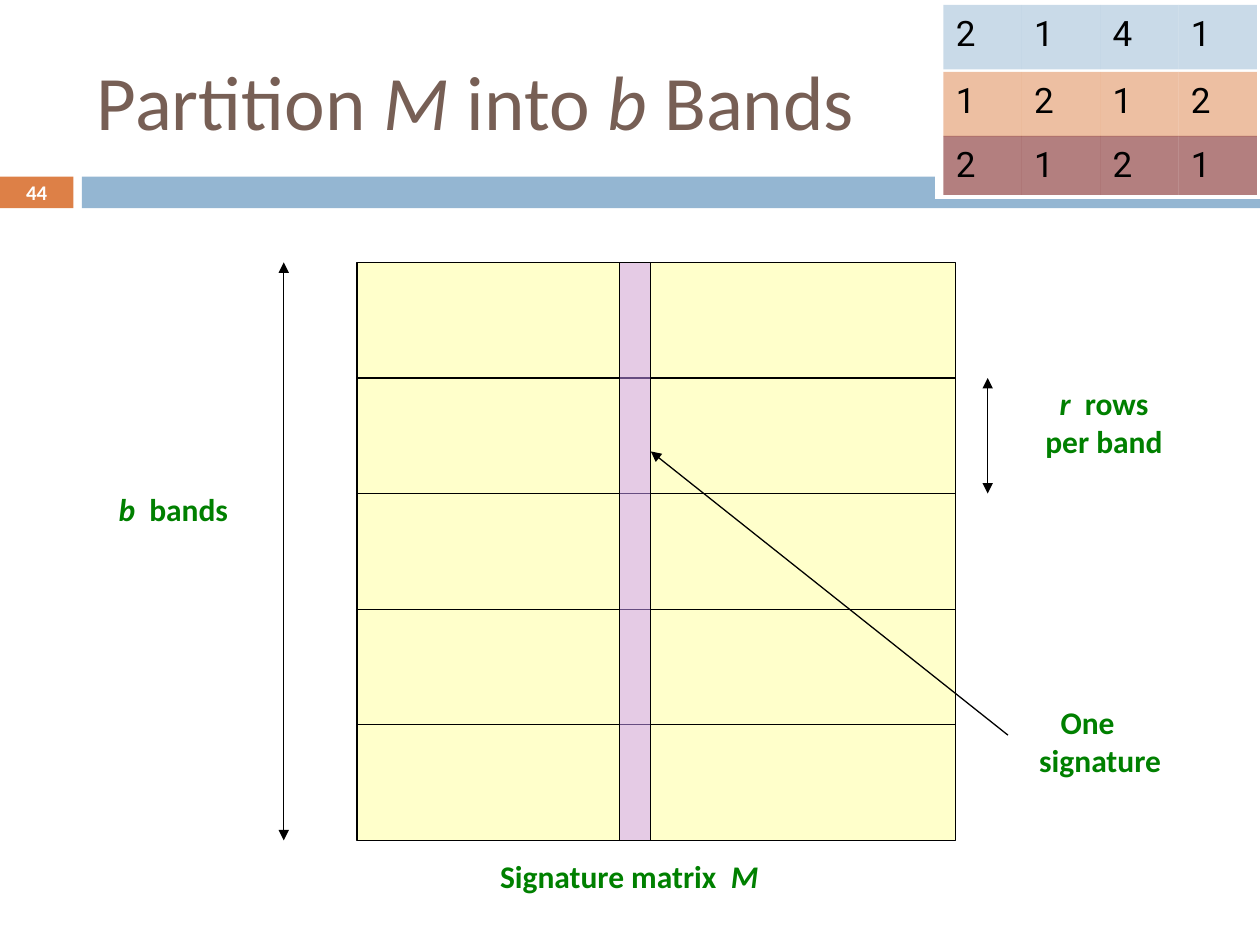
from dataclasses import dataclass

from pptx import Presentation
from pptx.dml.color import RGBColor
from pptx.enum.shapes import MSO_CONNECTOR, MSO_SHAPE
from pptx.enum.text import MSO_ANCHOR, PP_ALIGN
from pptx.oxml.ns import qn
from pptx.oxml.xmlchemy import OxmlElement
from pptx.util import Cm, Pt


@dataclass(frozen=True)
class Theme:
    font: str = "Calibri"
    cell_font: str = "Roboto"
    title: str = "775F55"
    label: str = "008000"
    ink: str = "000000"
    paper: str = "FFFFFF"
    blue: str = "94B6D2"
    orange: str = "DD8047"
    red: str = "680000"
    matrix: str = "FFFF99"
    signature: str = "CC99FF"
    title_size: float = 44
    cell_size: float = 20
    label_size: float = 18
    number_size: float = 11.9
    line_width: float = 0.75


theme = Theme()


def add_box(left, top, width, height, fill, see_through=False, outlined=False):
    box = slide.shapes.add_shape(
        MSO_SHAPE.RECTANGLE, Cm(left), Cm(top), Cm(width), Cm(height))
    box.shadow.inherit = False
    box.fill.solid()
    box.fill.fore_color.rgb = RGBColor.from_string(fill)
    if see_through:
        alpha = OxmlElement("a:alpha")
        alpha.set("val", "50000")
        box.element.spPr.find(qn("a:solidFill"))[0].append(alpha)
    if outlined:
        box.line.color.rgb = RGBColor.from_string(theme.ink)
        box.line.width = Pt(theme.line_width)
    else:
        box.line.fill.background()
    return box


def add_runs(paragraph, runs, size, color, align, font=theme.font, bold=False):
    paragraph.alignment = align
    for text, italic in runs:
        run = paragraph.add_run()
        run.text = text
        run.font.name = font
        run.font.size = Pt(size)
        run.font.bold = bold
        run.font.italic = italic
        run.font.color.rgb = RGBColor.from_string(color)


presentation = Presentation()
presentation.slide_width = Cm(25.4)
presentation.slide_height = Cm(19.05)
slide = presentation.slides.add_slide(presentation.slide_layouts[5])

# Title
title = slide.shapes.title
title.left, title.top, title.width, title.height = Cm(1.7), Cm(0.64), Cm(22.66), Cm(2.74)
title.text_frame.vertical_anchor = MSO_ANCHOR.MIDDLE
title.text_frame.word_wrap = True
add_runs(title.text_frame.paragraphs[0],
         [("Partition ", False), ("M", True), (" into ", False), ("b", True), (" Bands", False)],
         theme.title_size, theme.title, PP_ALIGN.LEFT)

# Header strip with the slide number
page_number = add_box(0, 3.56, 1.48, 0.64, theme.orange)
page_number.text_frame.margin_left = page_number.text_frame.margin_right = 0
page_number.text_frame.margin_top = page_number.text_frame.margin_bottom = 0
add_runs(page_number.text_frame.paragraphs[0], [("44", False)],
         theme.number_size, theme.paper, PP_ALIGN.CENTER, bold=True)
add_box(1.65, 3.56, 23.75, 0.64, theme.blue)

# Signature matrix, its bands and the arrows
matrix_left, matrix_top, matrix_width = 7.2, 5.29, 12.06
band_count, band_height = 5, 2.33
matrix_right = matrix_left + matrix_width
matrix_height = band_count * band_height
add_box(matrix_left, matrix_top, matrix_width, matrix_height,
        theme.matrix, see_through=True, outlined=True)

band_edges = [matrix_top + band * band_height for band in range(band_count + 1)]
lines = [(matrix_left, edge, matrix_right, edge, ()) for edge in band_edges[1:-1]]
both_ends = ("a:headEnd", "a:tailEnd")
lines += [
    (19.91, band_edges[1], 19.91, band_edges[2], both_ends),
    (5.72, band_edges[0], 5.72, band_edges[-1], both_ends),
    (20.32, 14.82, 13.12, 9.1, ("a:tailEnd",)),
]
for x1, y1, x2, y2, arrow_ends in lines:
    line = slide.shapes.add_connector(
        MSO_CONNECTOR.STRAIGHT, Cm(x1), Cm(y1), Cm(x2), Cm(y2))
    line.line.color.rgb = RGBColor.from_string(theme.ink)
    line.line.width = Pt(theme.line_width)
    for arrow_end in arrow_ends:
        arrowhead = OxmlElement(arrow_end)
        arrowhead.set("type", "triangle")
        line.line._get_or_add_ln().append(arrowhead)
    line._element.spPr.append(OxmlElement("a:effectLst"))

# One signature column
add_box(12.49, matrix_top, 0.63, matrix_height,
        theme.signature, see_through=True, outlined=True)

# Labels: place, alignment, first-line indent, lines of runs
labels = [
    (9.7, 17.15, 5.97, 1.02, PP_ALIGN.CENTER, 0,
     [[("Signature matrix  ", False), ("M", True)]]),
    (20.78, 7.62, 2.95, 1.8, PP_ALIGN.CENTER, 0,
     [[("r ", True), (" rows", False)], [("per band", False)]]),
    (2.11, 9.75, 2.77, 1.02, PP_ALIGN.CENTER, 0,
     [[("b", True), ("  bands", False)]]),
    (20.7, 14.05, 3.1, 1.78, PP_ALIGN.LEFT, 0.43,
     [[("One", False)], [("signature", False)]]),
]
for left, top, width, height, align, indent, text_lines in labels:
    label = slide.shapes.add_textbox(Cm(left), Cm(top), Cm(width), Cm(height)).text_frame
    label.word_wrap = False
    for index, runs in enumerate(text_lines):
        paragraph = label.add_paragraph() if index else label.paragraphs[0]
        if indent and index == 0:
            paragraph._p.get_or_add_pPr().set("indent", str(Cm(indent)))
        add_runs(paragraph, runs, theme.label_size, theme.label, align, bold=True)

# Small example matrix in the corner
add_box(18.85, 0, 6.55, 4.01, theme.paper)
example_left, cell_width = 19.02, 1.58
example_rows = [
    (0.1, 1.3, theme.blue, "2141"),
    (1.45, 1.3, theme.orange, "1212"),
    (2.74, 1.19, theme.red, "2121"),
]
for top, height, color, digits in example_rows:
    for column, digit in enumerate(digits):
        cell = add_box(example_left + column * cell_width, top, cell_width, height,
                       color, see_through=True)
        cell.text_frame.vertical_anchor = MSO_ANCHOR.TOP
        add_runs(cell.text_frame.paragraphs[0], [(digit, False)],
                 theme.cell_size, theme.ink, PP_ALIGN.LEFT, font=theme.cell_font)

presentation.save("out.pptx")
